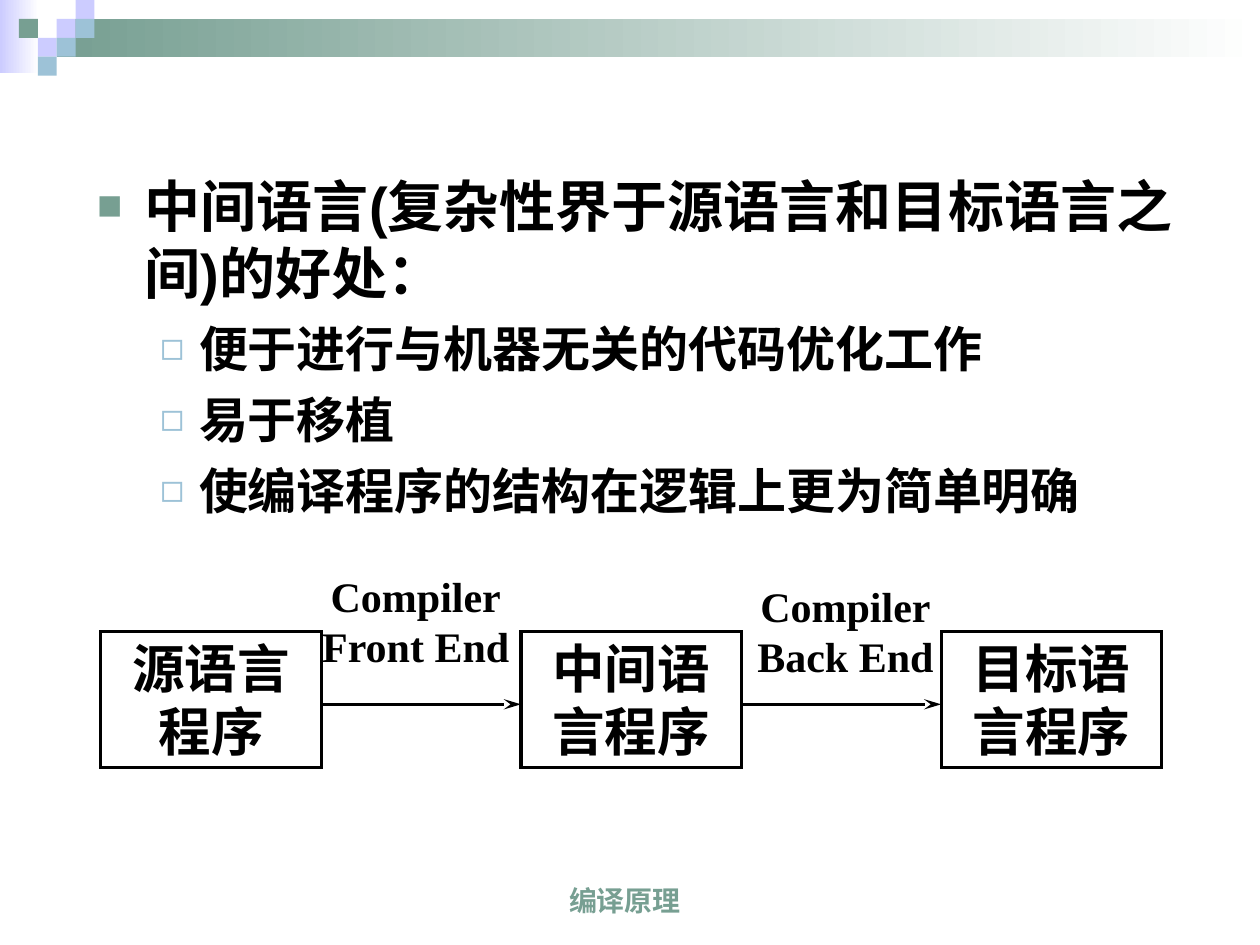
"""Build a slide on the benefits of an intermediate language in a compiler."""
from lxml import etree
from pptx import Presentation
from pptx.dml.color import RGBColor
from pptx.enum.shapes import MSO_CONNECTOR, MSO_SHAPE
from pptx.enum.text import MSO_ANCHOR, MSO_AUTO_SIZE, PP_ALIGN
from pptx.oxml.ns import qn
from pptx.util import Inches, Pt

RECTANGLE, STRAIGHT = MSO_SHAPE.RECTANGLE, MSO_CONNECTOR.STRAIGHT
LEFT, CENTER, JUSTIFY = PP_ALIGN.LEFT, PP_ALIGN.CENTER, PP_ALIGN.JUSTIFY
TOP, MIDDLE, BOTTOM = MSO_ANCHOR.TOP, MSO_ANCHOR.MIDDLE, MSO_ANCHOR.BOTTOM
NO_FIT = MSO_AUTO_SIZE.NONE

COLORS = {"green": "779F92", "lilac": "CCCCFF", "blue": "9DC2D7",
          "white": "FFFFFF", "black": "000000"}
RGB = {name: RGBColor.from_string(value) for name, value in COLORS.items()}
CELL = 0.15
BOX_LEFT, BOX_TOP, BOX_WIDTH, BOX_HEIGHT = 0.8, 5.01, 1.75, 1.08
PITCH = 3.335
LABEL_WIDTH, LABEL_HEIGHT = 1.58, 0.83


def add_box(page, left, top, width, height):
    box = page.shapes.add_shape(RECTANGLE, Inches(left), Inches(top), Inches(width), Inches(height))
    box.shadow.inherit = False
    box.fill.background()
    box.line.fill.background()
    return box


def write_lines(box, lines, size, font, color="black", anchor=MIDDLE):
    frame = box.text_frame
    frame.word_wrap, frame.vertical_anchor = True, anchor
    for index, line in enumerate(lines):
        para = frame.paragraphs[0] if index == 0 else frame.add_paragraph()
        para.alignment = CENTER
        span = para.add_run()
        span.text = line
        span.font.color.rgb = RGB[color]
        for name, value in {"size": Pt(size), "name": font, "bold": True}.items():
            setattr(span.font, name, value)


deck = Presentation()
deck.slide_width, deck.slide_height = Inches(10), Inches(7.5)
page = deck.slides.add_slide(deck.slide_layouts[1])
title = page.shapes.title
title.element.getparent().remove(title.element)

for color, left, top, width, height in [("lilac", 0, 0, 0.31, 0.58),
                                        ("green", 3 * CELL, CELL, 9.55, 2 * CELL)]:
    band = add_box(page, left, top, width, height)
    band.fill.gradient()
    band.fill.gradient_angle = 0
    for stop, name, position in zip(band.fill.gradient_stops, (color, "white"), (0, 1)):
        stop.color.rgb, stop.position = RGB[name], position

for color, column, row in [("lilac", 3, 1), ("lilac", 4, 0), ("blue", 4, 1), ("lilac", 2, 2),
                           ("green", 1, 1), ("blue", 3, 2), ("blue", 2, 3)]:
    square = add_box(page, column * CELL, row * CELL, CELL, CELL)
    square.fill.solid()
    square.fill.fore_color.rgb = RGB[color]

footer = page.shapes.add_textbox(Inches(3.19), Inches(6.83), Inches(3.54), Inches(0.5))
write_lines(footer, ["编译原理"], 16, "Arial", "green", BOTTOM)

body = page.placeholders[1]
for name, value in {"left": 0.67, "top": 1.31, "width": 8.75, "height": 2.83}.items():
    setattr(body, name, Inches(value))
frame = body.text_frame
for name, value in {"word_wrap": True, "auto_size": NO_FIT, "vertical_anchor": TOP}.items():
    setattr(frame, name, value)

LEVELS = [
    {"size": 32, "before": 8, "align": LEFT, "margin": 0.38, "indent": -0.38,
     "bullet": "■", "color": "green", "percent": 75},
    {"size": 28, "before": 7, "align": JUSTIFY, "margin": 0.81, "indent": -0.31,
     "bullet": "◻", "color": "blue", "percent": 80},
]
POINTS = [(0, "中间语言(复杂性界于源语言和目标语言之间)的好处："),
          (1, "便于进行与机器无关的代码优化工作"),
          (1, "易于移植"),
          (1, "使编译程序的结构在逻辑上更为简单明确")]
for index, (level, text) in enumerate(POINTS):
    style = LEVELS[level]
    para = frame.paragraphs[0] if index == 0 else frame.add_paragraph()
    para.level, para.alignment = level, style["align"]
    para.space_before = Pt(style["before"])
    properties = para._p.get_or_add_pPr()
    properties.set("marL", str(Inches(style["margin"])))
    properties.set("indent", str(Inches(style["indent"])))
    bullet_color = etree.SubElement(properties, qn("a:buClr"))
    etree.SubElement(bullet_color, qn("a:srgbClr"), val=COLORS[style["color"]])
    etree.SubElement(properties, qn("a:buSzPct"), val=str(style["percent"] * 1000))
    etree.SubElement(properties, qn("a:buFont"), typeface="Arial")
    etree.SubElement(properties, qn("a:buChar"), char=style["bullet"])
    span = para.add_run()
    span.text = text
    span.font.color.rgb = RGB["black"]
    for name, value in {"size": Pt(style["size"]), "name": "Arial", "bold": True}.items():
        setattr(span.font, name, value)

STAGES = [["源语言", "程序"], ["中间语", "言程序"], ["目标语", "言程序"]]
for index, lines in enumerate(STAGES):
    stage = add_box(page, BOX_LEFT + index * PITCH, BOX_TOP, BOX_WIDTH, BOX_HEIGHT)
    stage.line.color.rgb, stage.line.width = RGB["black"], Pt(1.75)
    etree.SubElement(stage.line._get_or_add_ln(), qn("a:miter"), lim="800000")
    write_lines(stage, lines, 30, "Times New Roman")

PHASES = [("Front End", 3.3, 4.51), ("Back End", 6.71, 4.59)]
for index, (phase, center, top) in enumerate(PHASES):
    start = BOX_LEFT + BOX_WIDTH + index * PITCH
    end = BOX_LEFT + (index + 1) * PITCH
    height = Inches(5.59)
    arrow = page.shapes.add_connector(STRAIGHT, Inches(start), height, Inches(end), height)
    arrow.line.color.rgb, arrow.line.width = RGB["black"], Pt(1.75)
    etree.SubElement(arrow.line._get_or_add_ln(), qn("a:tailEnd"), type="stealth", len="lg")
    etree.SubElement(arrow._element.spPr, qn("a:effectLst"))
    label = page.shapes.add_textbox(Inches(center - LABEL_WIDTH / 2), Inches(top),
                                    Inches(LABEL_WIDTH), Inches(LABEL_HEIGHT))
    label.text_frame.margin_left = label.text_frame.margin_right = 0
    write_lines(label, ["Compiler", phase], 24, "Times New Roman")

deck.save("out.pptx")
